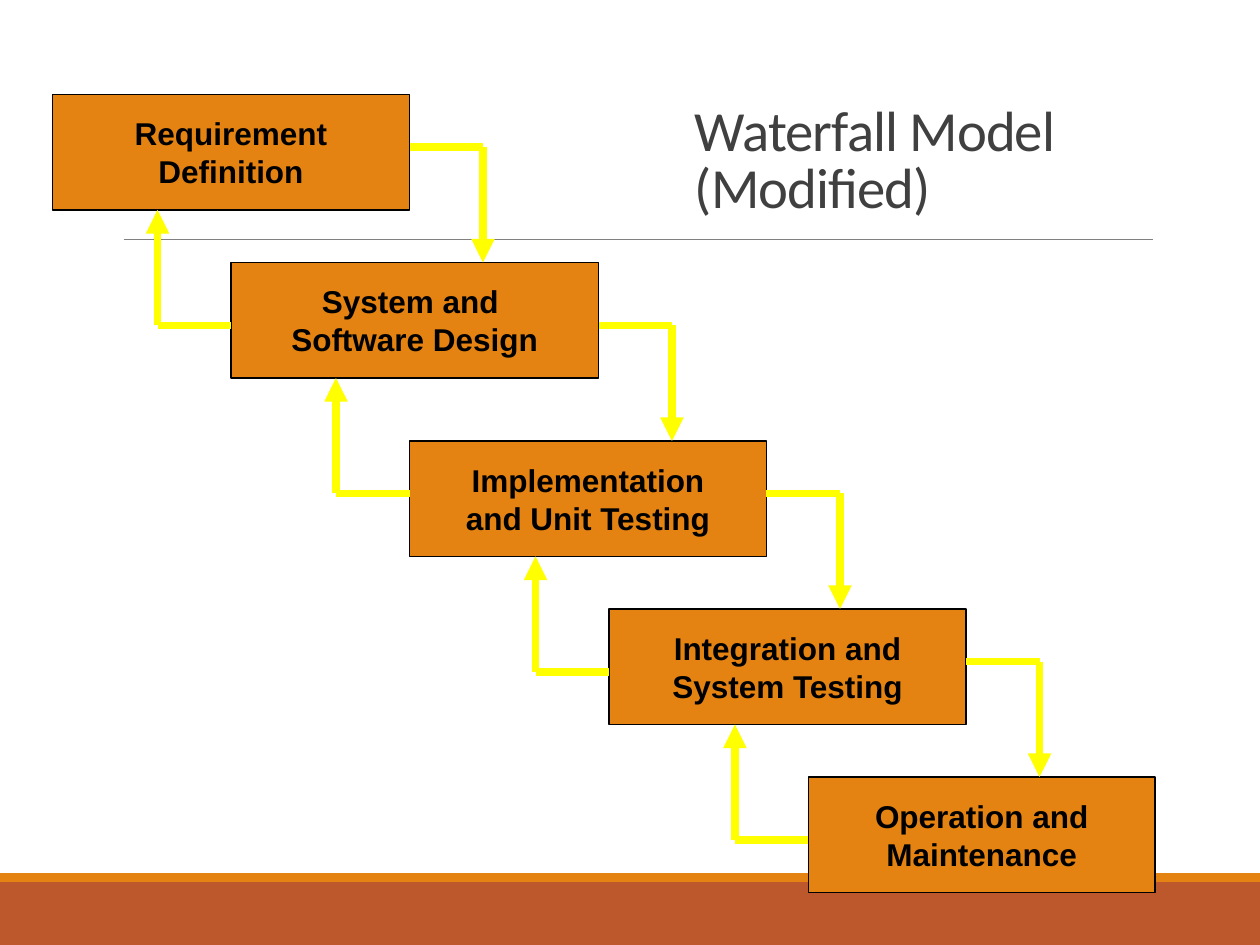
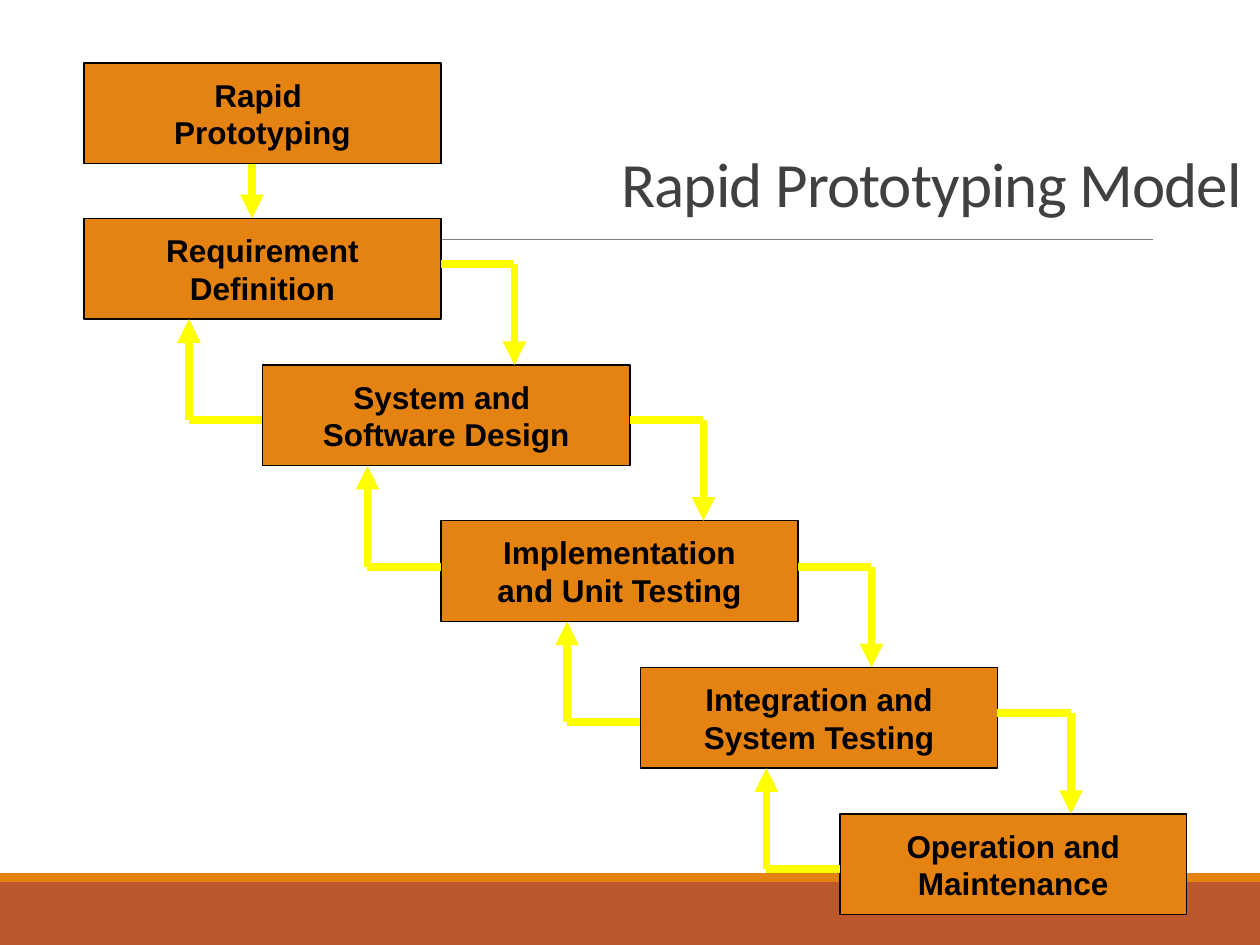
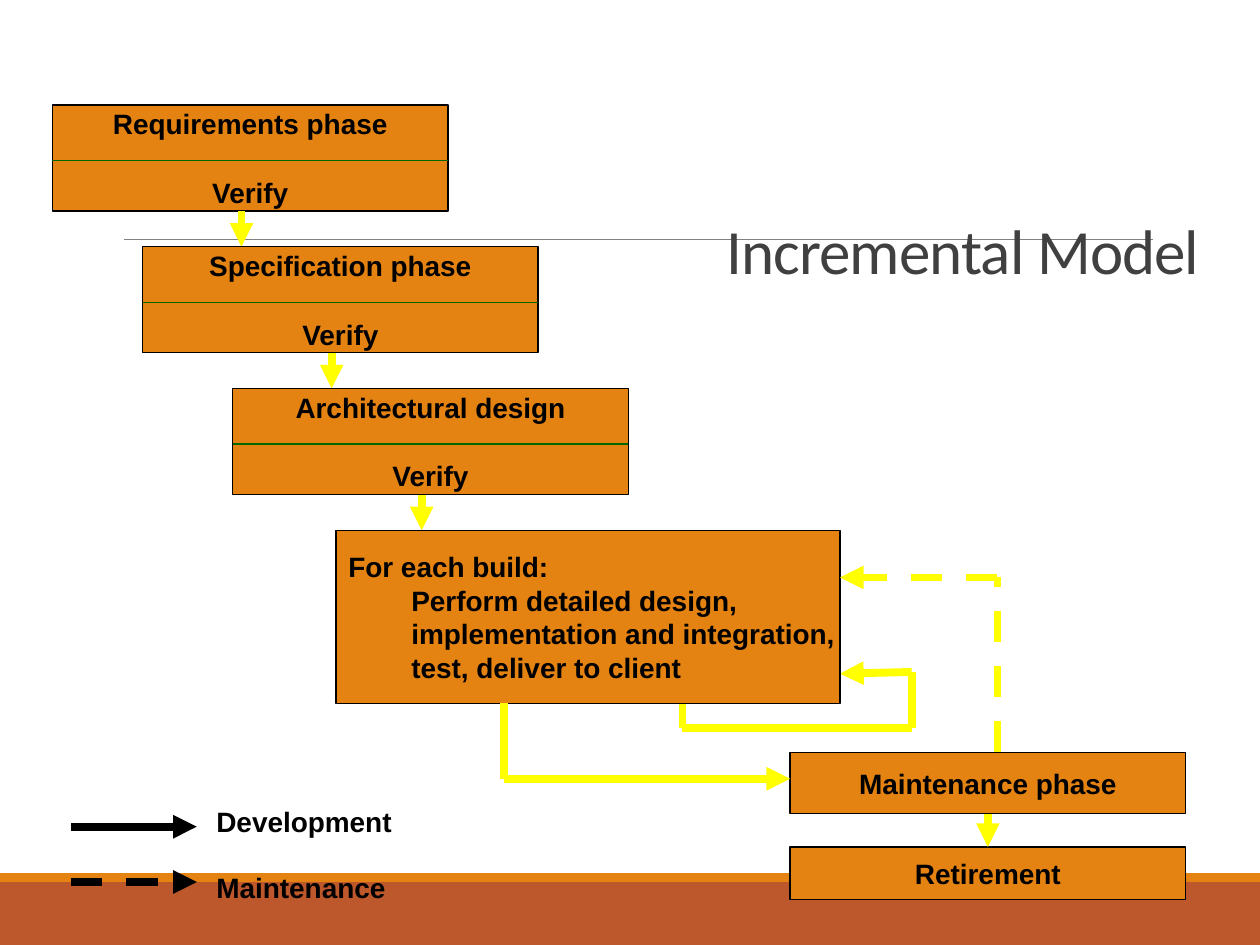
"""Build three slides that chart software process models."""
from lxml import etree
from pptx import Presentation
from pptx import util as u
from pptx.dml import color
from pptx.enum import dml, shapes, text
from pptx.oxml import ns

ORANGE, RUST, YELLOW = "E48312", "BD582C", "FFFF00"
BLACK, GREY, SLATE, GREEN = "000000", "808080", "404040", "006600"
WIDE, HIGH = 720, 540
STEP_HIGH = 66
STEPS = [
    ("Requirement\nDefinition", 0, 0, 204),
    ("System and \nSoftware Design", 102, 96, 210),
    ("Implementation\nand Unit Testing", 204, 198, 204),
    ("Integration and\nSystem Testing", 318, 294, 204),
    ("Operation and\nMaintenance", 432, 390, 198),
]
DOWN = [30, 36, 30, 30]
BACK = [36, 30, 36, 36]
REACH = 42
PHASES = ["Requirements phase", "Specification phase", "Architectural design"]


def tint(code):
    """Turn a hex string into a colour."""
    return color.RGBColor.from_string(code)


def style(frame, size, font="Arial", code=BLACK, bold=True):
    """Format every run of a text frame."""
    for para in frame.paragraphs:
        for run in para.runs:
            run.font.size, run.font.name = u.Pt(size), font
            run.font.bold = bold
            run.font.color.rgb = tint(code)


def block(slide, left, top, width, height, fill, edge=None):
    """Draw a plain rectangle."""
    rect = slide.shapes.add_shape(
        shapes.MSO_SHAPE.RECTANGLE, *map(u.Pt, (left, top, width, height)))
    rect.shadow.inherit = False
    rect.fill.solid()
    rect.fill.fore_color.rgb = tint(fill)
    if edge:
        rect.line.color.rgb = tint(edge)
        rect.line.width = u.Pt(0.75)
    else:
        rect.line.fill.background()
    return rect


def box(slide, words, left, top, width, height, size=16,
        align=text.PP_ALIGN.CENTER):
    """Draw an orange box with bold words."""
    rect = block(slide, left, top, width, height, ORANGE, BLACK)
    frame = rect.text_frame
    frame.text = words
    frame.word_wrap = False
    frame.vertical_anchor = text.MSO_ANCHOR.MIDDLE
    for para in frame.paragraphs:
        para.alignment = align
    style(frame, size)
    return rect


def line(slide, start, end, code=YELLOW, width=4.5, head=False, dash=False):
    """Draw a straight line, with an arrowhead if asked."""
    link = slide.shapes.add_connector(
        shapes.MSO_CONNECTOR.STRAIGHT, *map(u.Pt, (*start, *end)))
    link.line.color.rgb = tint(code)
    link.line.width = u.Pt(width)
    if dash:
        link.line.dash_style = dml.MSO_LINE.DASH
    if head:
        tip = etree.SubElement(link.line._get_or_add_ln(), ns.qn("a:tailEnd"))
        tip.set("type", "triangle")
    etree.SubElement(link._element.spPr, ns.qn("a:effectLst"))
    return link


def route(slide, *points, dash=False):
    """Draw a bent arrow through the points."""
    last = len(points) - 2
    for i, (start, end) in enumerate(zip(points, points[1:])):
        line(slide, start, end, head=i == last, dash=dash)


def note(slide, words, left, top, width, height):
    """Add a text box that wraps."""
    frame = slide.shapes.add_textbox(
        *map(u.Pt, (left, top, width, height))).text_frame
    frame.word_wrap = True
    frame.text = words
    return frame


def start(deck, title, left, top, width, height, size):
    """Add a slide with its bands, rule and title."""
    slide = deck.slides.add_slide(deck.slide_layouts[6])
    block(slide, 0, 504, WIDE, 36, RUST)
    block(slide, 0, 499, WIDE, 5, ORANGE)
    line(slide, (70.6, 136.8), (658.8, 136.8), GREY, 0.5)
    frame = note(slide, title, left, top, width, height)
    frame.vertical_anchor = text.MSO_ANCHOR.BOTTOM
    para = frame.paragraphs[0]
    para.line_spacing = 0.85
    style(frame, size, "Calibri", SLATE, False)
    para.runs[0]._r.get_or_add_rPr().set("spc", "-50")
    return slide


def stairs(slide, left, top, height):
    """Draw the five steps with arrows down and back."""
    scale = height / STEP_HIGH
    spots = [(left + x, top + y * scale, width) for _, x, y, width in STEPS]
    for (words, *_), (x, y, width) in zip(STEPS, spots):
        box(slide, words, x, y, width, height, 18)
    for here, after, down, back in zip(spots, spots[1:], DOWN, BACK):
        x, y, width = here
        side, turn, level = x + width, x + width + REACH, y + down * scale
        route(slide, (side, level), (turn, level), (turn, after[1]))
        side, turn, level = after[0], after[0] - REACH, after[1] + back * scale
        route(slide, (side, level), (turn, level), (turn, y + height))


def phase(slide, name, left, top):
    """Draw a phase box with its check and the arrow below."""
    width, height = 226, 60.6
    rect = box(slide, name + "\nVerify", left, top, width, height)
    rect.text_frame.paragraphs[1].space_before = u.Pt(20)
    level = top + 31.7
    line(slide, (left, level), (left + width, level), GREEN, 0.75)
    route(slide, (left + 108, top + height), (left + 108, top + 81))


def build(slide):
    """Draw the build box with its loop."""
    route(slide, (390, 397), (390, 416), (521, 416), (521, 384), (480, 385))
    rect = box(slide, "For each build:\nPerform detailed design,\v"
               "implementation and integration,\ntest, deliver to client",
               192, 303, 288, 99, align=text.PP_ALIGN.LEFT)
    for para in rect.text_frame.paragraphs[1:]:
        para._p.get_or_add_pPr().set("marL", str(u.Pt(36)))


def finish(slide):
    """Draw the last two boxes and their arrows."""
    care = box(slide, "Maintenance phase", 451.5, 430, 226, 35)
    gone = box(slide, "Retirement", 451.5, 484, 226, 30.2)
    drop = line(slide, (564.5, 465), (564.5, 484), head=True)
    drop.begin_connect(care, 2)
    drop.end_connect(gone, 0)
    route(slide, (288, 402), (288, 445), (451.5, 445))
    route(slide, (570, 430), (570, 330), (480, 330), dash=True)


def key(slide, words, level, top, dash):
    """Draw one entry of the legend."""
    line(slide, (40.5, level), (112.5, level), BLACK, head=True, dash=dash)
    style(note(slide, words, 116.6, top, 127.4, 26.6), 16)


def main():
    """Build and save the deck."""
    deck = Presentation()
    deck.slide_width, deck.slide_height = u.Pt(WIDE), u.Pt(HIGH)

    slide = start(deck, "Waterfall Model (Modified)", 390, 66, 330, 63.6, 32.4)
    stairs(slide, 30, 54, STEP_HIGH)

    slide = start(deck, "Rapid Prototyping Model", 348, 66, 372, 63.6, 36)
    stairs(slide, 48, 124.8, 57.6)
    box(slide, "Rapid \nPrototyping", 48, 36, 204, 57.6, 18)
    route(slide, (144, 93.6), (144, 124.8))

    slide = start(deck, "Incremental Model", 408, 30, 300, 138, 36)
    build(slide)
    for i, name in enumerate(PHASES):
        phase(slide, name, 30 + 51.5 * i, 60 + 81 * i)
    finish(slide)
    key(slide, "Development", 472.4, 456.5, False)
    key(slide, "Maintenance", 504, 494, True)

    deck.save("out.pptx")


if __name__ == "__main__":
    main()
